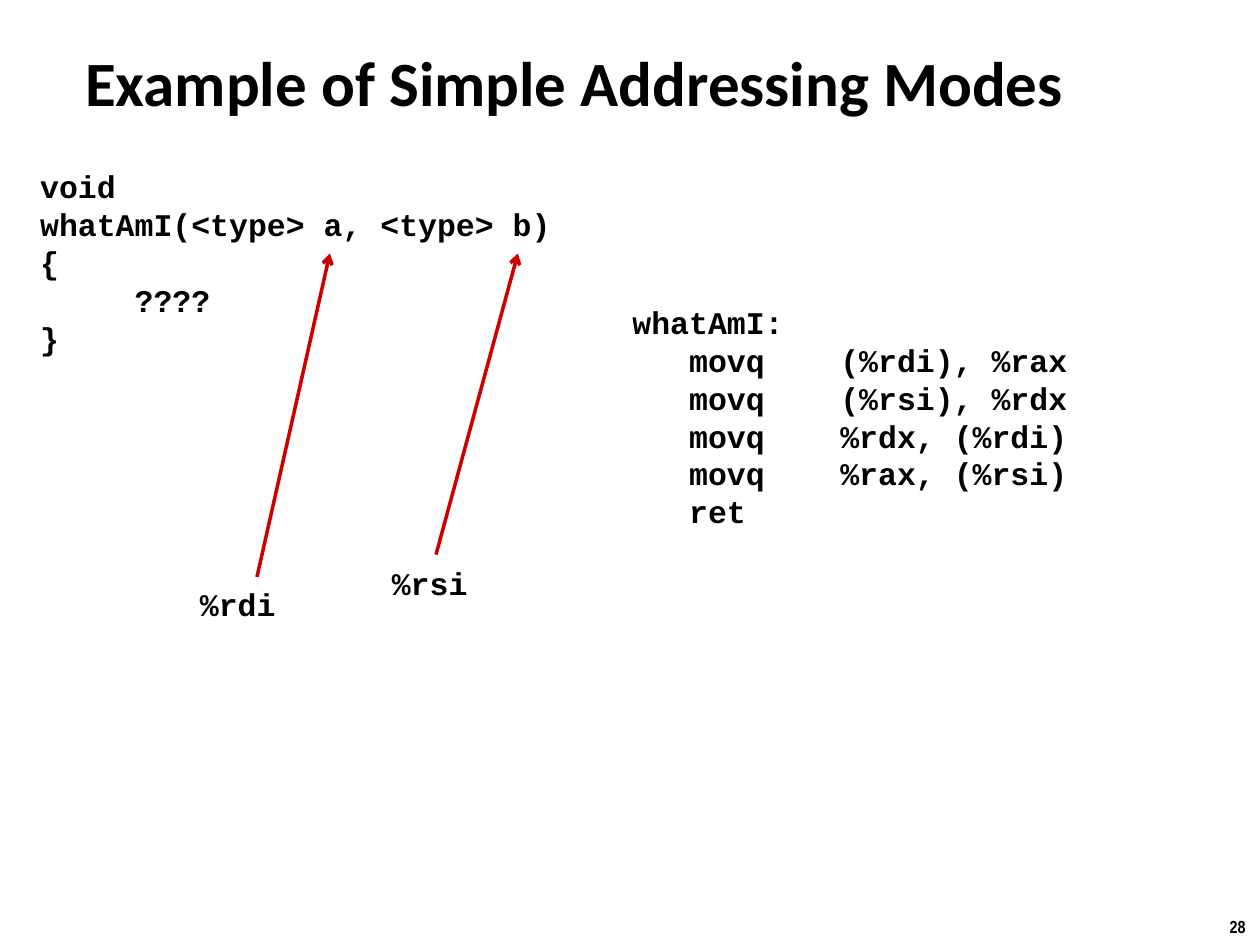
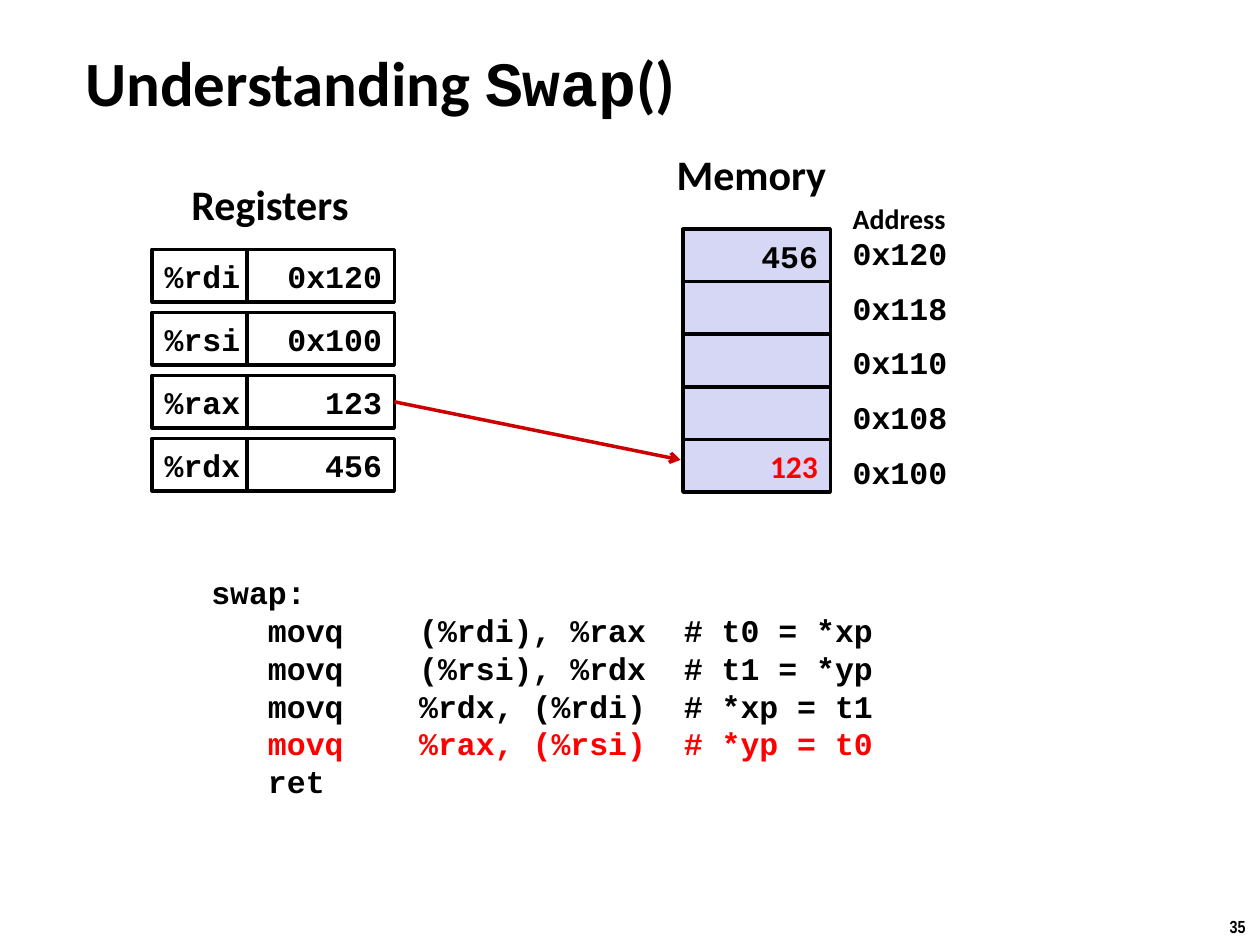
"""Builds two slides on x86-64 addressing modes and the swap function."""
import lxml.etree
import pptx
import pptx.dml.color
import pptx.enum.shapes
import pptx.enum.text
import pptx.oxml.ns
import pptx.util

Cm, Pt = pptx.util.Cm, pptx.util.Pt
RGB = pptx.dml.color.RGBColor
ALIGN = pptx.enum.text.PP_ALIGN
MIDDLE = pptx.enum.text.MSO_ANCHOR.MIDDLE

BLACK = RGB(0, 0, 0)
WHITE = RGB(255, 255, 255)
RED = RGB(255, 0, 0)
ARROW_RED = RGB(0xCC, 0, 0)
LAVENDER = RGB(0xD6, 0xD6, 0xF5)
SANS, MONO, NARROW = "Calibri", "Courier New", "Arial Narrow"

MODES_TITLE = [("Example of Simple Addressing Modes", SANS)]
SWAP_TITLE = [("Understanding ", SANS), ("Swap", MONO), ("()", SANS)]

C_CODE = ["void", "whatAmI(<type> a, <type> b)", "{", "     ????", "}"]
MOVES = [
    ("   movq    (%rdi), %rax", "  # t0 = *xp"),
    ("   movq    (%rsi), %rdx", "  # t1 = *yp"),
    ("   movq    %rdx, (%rdi)", "  # *xp = t1"),
    ("   movq    %rax, (%rsi)", "  # *yp = t0"),
]
RET = "   ret"
CURRENT_LINE = 4
ARGUMENTS = [
    ("%rdi", (3.78, 11.66), (5.18, 11.63), (6.65, 5.11)),
    ("%rsi", (7.65, 11.25), (8.79, 11.18), (10.44, 5.11)),
]
REGISTERS = [("%rdi", "0x120"), ("%rsi", "0x100"), ("%rax", "123"), ("%rdx", "456")]
MEMORY = [
    ("0x120", "456", MONO, BLACK),
    ("0x118", "", MONO, BLACK),
    ("0x110", "", MONO, BLACK),
    ("0x108", "", MONO, BLACK),
    ("0x100", "123", SANS, RED),
]

CELL_H, VALUE_W, NAME_W = 1.06, 2.97, 1.91
REGISTER_X, REGISTER_Y, REGISTER_STEP = 3.07, 5.03, 1.27
MEMORY_X, MEMORY_Y = 13.77, 4.62
ADDRESS_X, ADDRESS_Y, ADDRESS_W, ADDRESS_STEP = 16.94, 4.6, 3.38, 1.1


def style(p, font=MONO, size=18, color=BLACK):
    p.font.name, p.font.size, p.font.bold = font, Pt(size), True
    p.font.color.rgb = color


def add_text(slide, box, lines, font=MONO, size=18, wrap=True, red_line=None):
    tf = slide.shapes.add_textbox(*map(Cm, box)).text_frame
    tf.word_wrap = wrap
    for i, line in enumerate(lines):
        p = tf.add_paragraph() if i else tf.paragraphs[0]
        p.text = line
        style(p, font, size, RED if i == red_line else BLACK)


def add_cell(slide, x, y, w, text, fill, align=ALIGN.RIGHT, font=MONO, color=BLACK):
    sp = slide.shapes.add_shape(
        pptx.enum.shapes.MSO_SHAPE.RECTANGLE, Cm(x), Cm(y), Cm(w), Cm(CELL_H))
    sp.shadow.inherit = False
    sp.fill.solid()
    sp.fill.fore_color.rgb = fill
    sp.line.color.rgb = BLACK
    sp.line.width = Pt(2)
    tf = sp.text_frame
    tf.word_wrap = False
    tf.vertical_anchor = MIDDLE
    if text:
        p = tf.paragraphs[0]
        p.text = text
        p.alignment = align
        style(p, font, color=color)


def add_arrow(slide, start, end):
    line = slide.shapes.add_connector(
        pptx.enum.shapes.MSO_CONNECTOR.STRAIGHT, *map(Cm, start + end))
    line.line.color.rgb = ARROW_RED
    line.line.width = Pt(2)
    qn = pptx.oxml.ns.qn
    sppr = line._element.spPr
    lxml.etree.SubElement(sppr.find(qn("a:ln")), qn("a:tailEnd"), type="arrow")
    lxml.etree.SubElement(sppr, qn("a:effectLst"))


def add_slide(prs, title, number):
    slide = prs.slides.add_slide(prs.slide_layouts[6])
    add_text(slide, (24.54, 18.34, 0.86, 0.69), [number], NARROW, 10, wrap=False)
    tf = slide.shapes.add_textbox(Cm(1.47), Cm(0.84), Cm(21.29), Cm(1.6)).text_frame
    tf.word_wrap = True
    tf.vertical_anchor = MIDDLE
    p = tf.paragraphs[0]
    style(p, SANS, 36)
    for text, font in title:
        r = p.add_run()
        r.text = text
        r.font.name = font
    return slide


def build_modes(prs):
    slide = add_slide(prs, MODES_TITLE, "28")
    assembly = ["whatAmI:"] + [move for move, _ in MOVES] + [RET]
    add_text(slide, (12.5, 5.99, 11.63, 4.88), assembly)
    add_text(slide, (0.56, 3.25, 11.28, 4.11), C_CODE)
    for register, corner, start, end in ARGUMENTS:
        add_arrow(slide, start, end)
        add_text(slide, corner + (3.33, 1.02), [register])


def build_swap(prs):
    slide = add_slide(prs, SWAP_TITLE, "35")
    for i, (address, value, font, color) in enumerate(MEMORY):
        add_cell(slide, MEMORY_X, MEMORY_Y + i * CELL_H, VALUE_W, value, LAVENDER,
                 font=font, color=color)
        add_text(slide, (ADDRESS_X, ADDRESS_Y + i * ADDRESS_STEP, ADDRESS_W, 1.02),
                 [address])
    for i, (name, value) in enumerate(REGISTERS):
        y = REGISTER_Y + i * REGISTER_STEP
        add_cell(slide, REGISTER_X, y, NAME_W, name, WHITE, ALIGN.LEFT)
        add_cell(slide, REGISTER_X + NAME_W, y, VALUE_W, value, WHITE)
    add_text(slide, (3.61, 3.48, 3.76, 1.27), ["Registers"], SANS, 24, wrap=False)
    add_text(slide, (13.39, 2.87, 3.56, 1.27), ["Memory"], SANS, 24, wrap=False)
    add_text(slide, (ADDRESS_X, 3.94, ADDRESS_W, 0.94), ["Address"], SANS, 16)
    add_arrow(slide, (7.95, 8.1), (13.72, 9.27))
    assembly = ["swap:"] + [move + note for move, note in MOVES] + [RET]
    add_text(slide, (4.01, 11.43, 16.31, 4.88), assembly, red_line=CURRENT_LINE)


def main():
    prs = pptx.Presentation()
    prs.slide_width, prs.slide_height = Cm(25.4), Cm(19.05)
    build_modes(prs)
    build_swap(prs)
    prs.save("out.pptx")


if __name__ == "__main__":
    main()
